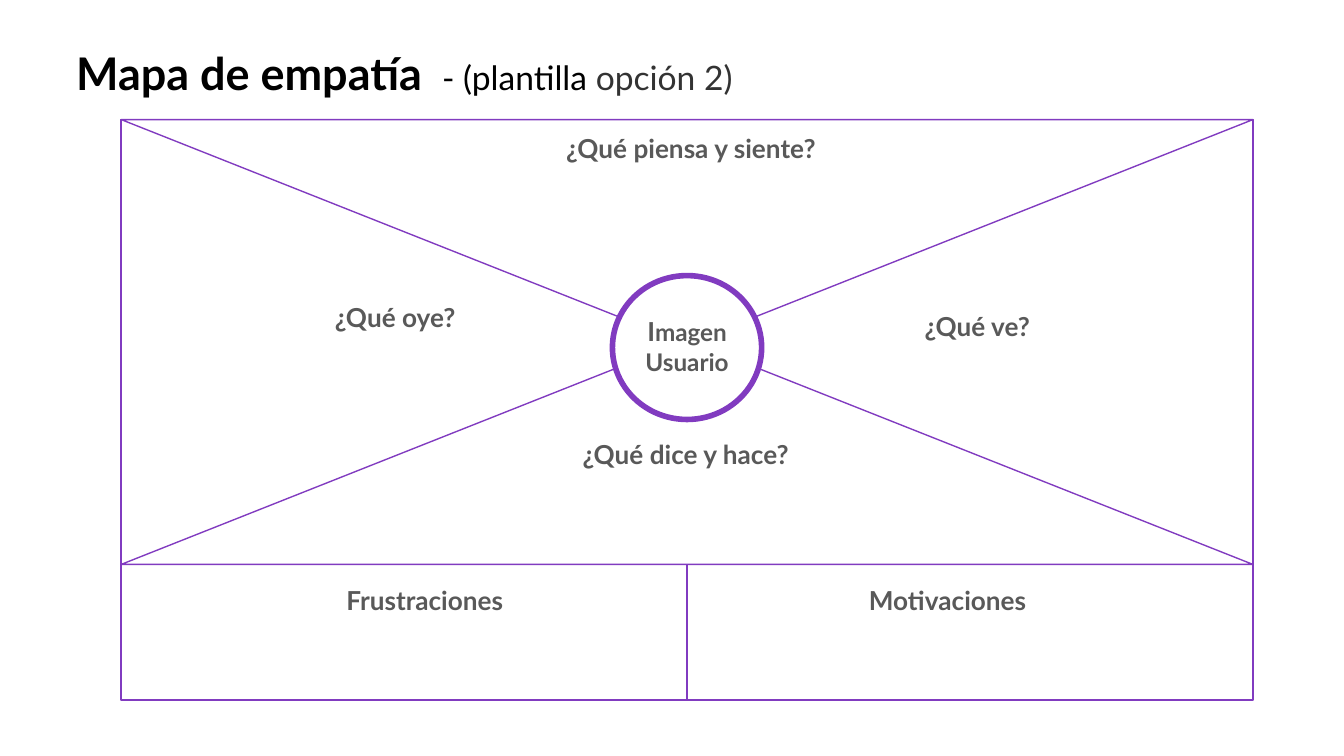
from collections import namedtuple

from pptx import Presentation
from pptx.dml.color import RGBColor
from pptx.enum.shapes import MSO_CONNECTOR, MSO_SHAPE
from pptx.enum.text import MSO_ANCHOR as Anchor, PP_ALIGN as Align
from pptx.oxml.ns import qn
from pptx.util import Cm, Pt
from lxml import etree

PURPLE = RGBColor(0x81, 0x3B, 0xC0)
GRAY = RGBColor(0x59, 0x59, 0x59)
DARK = RGBColor(0x33, 0x33, 0x33)
BLACK = RGBColor(0, 0, 0)
WHITE = RGBColor(0xFF, 0xFF, 0xFF)

FONT = "Lato"
INSET = Cm(0.25)
THIN, THICK = Pt(0.75), Pt(3)
LABEL_SIZE = (Cm(7.06), Cm(1.12))

Box = namedtuple("Box", "left top width height")


def cm_box(*lengths):
    return Box(*map(Cm, lengths))


def add_outline(shapes, kind, box, width=THIN, fill=None):
    shape = shapes.add_shape(kind, *box)
    shape.shadow.inherit = False
    if fill is None:
        shape.fill.background()
    else:
        shape.fill.solid()
        shape.fill.fore_color.rgb = fill
    shape.line.color.rgb = PURPLE
    shape.line.width = width
    return shape


def add_run(paragraph, text, size, color=GRAY, bold=True):
    run = paragraph.add_run()
    run.text = text
    for name, value in {"name": FONT, "size": Pt(size), "bold": bold}.items():
        setattr(run.font, name, value)
    run.font.color.rgb = color
    return run


def add_text(shapes, box, lines, align=Align.CENTER, anchor=Anchor.TOP):
    """Add a text box; each line is a list of add_run argument tuples."""
    frame = shapes.add_textbox(*box).text_frame
    settings = {"word_wrap": True, "vertical_anchor": anchor}
    settings.update({f"margin_{side}": INSET for side in ("left", "top", "right", "bottom")})
    for name, value in settings.items():
        setattr(frame, name, value)
    for index, runs in enumerate(lines):
        paragraph = frame.add_paragraph() if index else frame.paragraphs[0]
        paragraph.alignment = align
        for run in runs:
            add_run(paragraph, *run)
    return frame


def add_title(shapes, box):
    runs = [("Mapa de empatía", 24.1, BLACK), (" ", 24.1, BLACK),
            ("- (plantilla ", 18, BLACK, False), ("opción 2)", 18, DARK, False)]
    frame = add_text(shapes, box, [runs], Align.LEFT, Anchor.MIDDLE)
    paragraph = frame.paragraphs[0]
    paragraph.line_spacing = 0.8
    # Letter spacing widens the gap between title and subtitle.
    paragraph.runs[1]._r.get_or_add_rPr().set("spc", "465")


def add_divider(shapes, frame, top):
    center = frame.left + frame.width // 2
    line = shapes.add_connector(MSO_CONNECTOR.STRAIGHT, center, top,
                                center, frame.top + frame.height)
    line.end_connect(frame, 2)
    line.line.color.rgb = PURPLE
    line.line.width = THIN
    etree.SubElement(line._element.spPr, qn("a:effectLst"))


def add_user_circle(shapes, box):
    add_outline(shapes, MSO_SHAPE.OVAL, box, THICK, WHITE)
    margin = Cm(0.23)
    text_box = Box(box.left + margin, box.top + Cm(0.86),
                   box.width - 2 * margin, Cm(0.94))
    lines = [[("I", 14), ("magen", 13)], [("Usuario", 13)]]
    add_text(shapes, text_box, lines, anchor=Anchor.MIDDLE)


def add_empathy_map(shapes, box):
    frame = add_outline(shapes, MSO_SHAPE.RECTANGLE, box)
    height = Cm(4.24)
    lower_top = box.top + Cm(4.17)
    add_outline(shapes, MSO_SHAPE.ISOSCELES_TRIANGLE,
                Box(box.left, lower_top, box.width, height))
    upper = add_outline(shapes, MSO_SHAPE.ISOSCELES_TRIANGLE,
                        Box(box.left, box.top, box.width, height))
    upper.rotation = 180
    add_divider(shapes, frame, lower_top + height)

    diameter = Cm(2.82)
    add_user_circle(shapes, Box(box.left + (box.width - diameter) // 2,
                                box.top + Cm(2.95), diameter, Cm(2.72)))

    labels = {
        "¿Qué piensa y siente?": (7.24, 0),
        "¿Qué dice y hace?": (7.14, 5.77),
        "¿Qué oye?": (1.65, 3.18),
        "¿Qué ve?": (12.65, 3.35),
        "Frustraciones": (2.21, 8.53),
        "Motivaciones": (12.09, 8.53),
    }
    for text, (left, top) in labels.items():
        label_box = Box(box.left + Cm(left), box.top + Cm(top), *LABEL_SIZE)
        add_text(shapes, label_box, [[(text, 14)]])


def main():
    presentation = Presentation()
    presentation.slide_width = Cm(25.4)
    presentation.slide_height = Cm(14.29)
    slide = presentation.slides.add_slide(presentation.slide_layouts[6])
    add_empathy_map(slide.shapes, cm_box(2.29, 2.26, 21.39, 10.97))
    add_title(slide.shapes, cm_box(1.19, 0.79, 22.17, 1.37))
    presentation.save("out.pptx")


if __name__ == "__main__":
    main()
